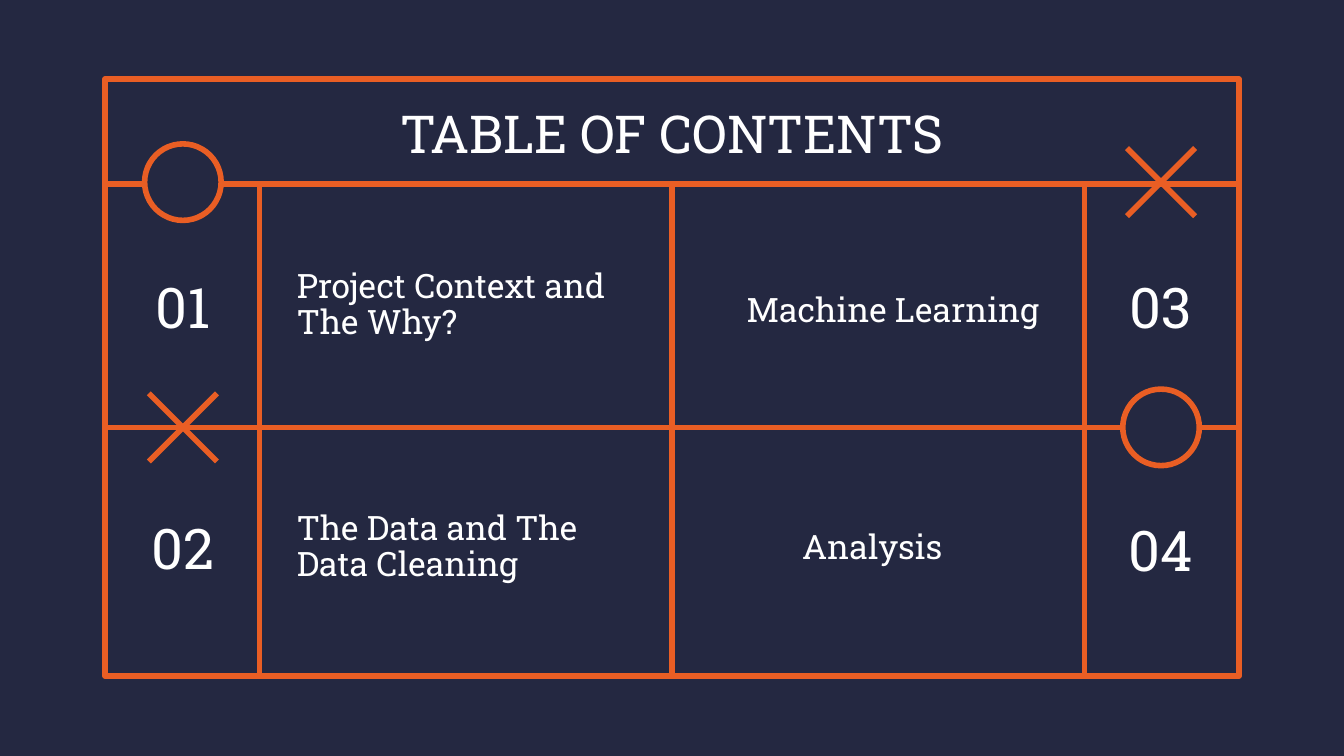
from dataclasses import dataclass

import pptx
import pptx.dml.color
import pptx.enum.shapes
import pptx.enum.text
import pptx.oxml.ns
import pptx.util
from lxml import etree

Pt = pptx.util.Pt
RGB = pptx.dml.color.RGBColor
ALIGN = pptx.enum.text.PP_ALIGN
SHAPE = pptx.enum.shapes.MSO_SHAPE


@dataclass(frozen=True)
class Theme:
    background: RGB = RGB.from_string("242841")
    accent: RGB = RGB.from_string("E95E24")
    text: RGB = RGB.from_string("FFFFFF")
    font: str = "Roboto Slab"
    title_size: int = 28
    number_size: int = 30
    topic_size: int = 18
    line_width: int = 3


THEME = Theme()


@dataclass(frozen=True)
class Box:
    left: float
    top: float
    width: float
    height: float

    @property
    def right(self):
        return self.left + self.width

    @property
    def bottom(self):
        return self.top + self.height

    def lengths(self):
        return Pt(self.left), Pt(self.top), Pt(self.width), Pt(self.height)


def style_line(line):
    line.color.rgb = THEME.accent
    line.width = Pt(THEME.line_width)


def add_rule(slide, x1, y1, x2, y2):
    rule = slide.shapes.add_connector(
        pptx.enum.shapes.MSO_CONNECTOR.STRAIGHT, Pt(x1), Pt(y1), Pt(x2), Pt(y2))
    style_line(rule.line)
    etree.SubElement(rule._element.spPr, pptx.oxml.ns.qn("a:effectLst"))
    return rule


def add_outline(slide, kind, box):
    outline = slide.shapes.add_shape(kind, *box.lengths())
    outline.shadow.inherit = False
    style_line(outline.line)
    return outline


def write(holder, text, size, align=ALIGN.CENTER):
    """Fill a text holder with one styled, vertically centred paragraph."""
    frame = holder.text_frame
    frame.word_wrap = True
    frame.auto_size = pptx.enum.text.MSO_AUTO_SIZE.NONE
    frame.vertical_anchor = pptx.enum.text.MSO_ANCHOR.MIDDLE
    frame.margin_left = frame.margin_right = Pt(7.2)
    frame.margin_top = frame.margin_bottom = Pt(7.2)
    paragraph = frame.paragraphs[0]
    paragraph.alignment = align
    run = paragraph.add_run()
    run.text = text
    run.font.name = THEME.font
    run.font.size = Pt(size)
    run.font.color.rgb = THEME.text
    return paragraph


def add_grid(slide, box, columns, rows):
    """Outer frame, horizontal rules, and columns below the header."""
    frame = add_outline(slide, SHAPE.RECTANGLE, box)
    frame.fill.background()
    for y in rows:
        add_rule(slide, box.left, y, box.right, y)
    for x in columns:
        divider = add_rule(slide, x, box.bottom, x, rows[0])
        if x == box.left + box.width / 2:
            divider.begin_connect(frame, 2)


def add_title(slide, box):
    title = slide.shapes.title
    title.left, title.top, title.width, title.height = box.lengths()
    write(title, "TABLE OF CONTENTS", THEME.title_size)


def add_entry(slide, number_box, topic_box, number, topic, align):
    topic_text = slide.shapes.add_textbox(*topic_box.lengths())
    paragraph = write(topic_text, topic, THEME.topic_size, align)
    paragraph.space_after = Pt(12)
    paragraph.line_spacing = 0.9
    number_text = slide.shapes.add_textbox(*number_box.lengths())
    write(number_text, number, THEME.number_size)


def add_nought(slide, box):
    nought = add_outline(slide, SHAPE.OVAL, box)
    nought.fill.solid()
    nought.fill.fore_color.rgb = THEME.background


def add_cross(slide, box):
    add_rule(slide, box.left, box.top, box.right, box.bottom)
    add_rule(slide, box.right, box.top, box.left, box.bottom)


def centred(x, y, width, height):
    return Box(x - width / 2, y - height / 2, width, height)


def add_contents_slide(deck):
    slide = deck.slides.add_slide(deck.slide_layouts[5])
    slide.background.fill.solid()
    slide.background.fill.fore_color.rgb = THEME.background

    board = Box(56.2, 42.5, 607.6, 319.7)
    middle = board.left + board.width / 2
    columns = [middle - 221, middle, middle + 221]
    rows = [98.6, 229]
    add_grid(slide, board, columns, rows)
    add_title(slide, Box(board.left, 48.2, board.width, 45.4))

    # Entries: number in the outer column, topic in the inner one
    number_x = {"left": middle - 262, "right": middle + 262}
    topic_x = {"left": middle - 111.6, "right": middle + 107.3}
    entries = [
        ("01", "Project Context and The Why?", "left", 163.8, 163.8, ALIGN.LEFT),
        ("03", "Machine Learning", "right", 163.8, 166.7, ALIGN.RIGHT),
        ("02", "The Data and The Data Cleaning", "left", 293.4, 293.4, ALIGN.LEFT),
        ("04", "Analysis", "right", 294.1, 294.1, ALIGN.CENTER),
    ]
    for number, topic, side, number_y, topic_y, align in entries:
        add_entry(slide,
                  centred(number_x[side], number_y, 65.5, 41),
                  centred(topic_x[side], topic_y, 193, 41),
                  number, topic, align)

    # Noughts and crosses over the outer columns
    marks = [
        (add_cross, "right", rows[0] - 1, 36.5),
        (add_nought, "left", rows[0] - 1, 41),
        (add_cross, "left", rows[1], 36.5),
        (add_nought, "right", rows[1], 41),
    ]
    for add_mark, side, y, size in marks:
        add_mark(slide, centred(number_x[side], y, size, size))


def main():
    deck = pptx.Presentation()
    deck.slide_width, deck.slide_height = Pt(720), Pt(405)
    add_contents_slide(deck)
    deck.save("out.pptx")


if __name__ == "__main__":
    main()
